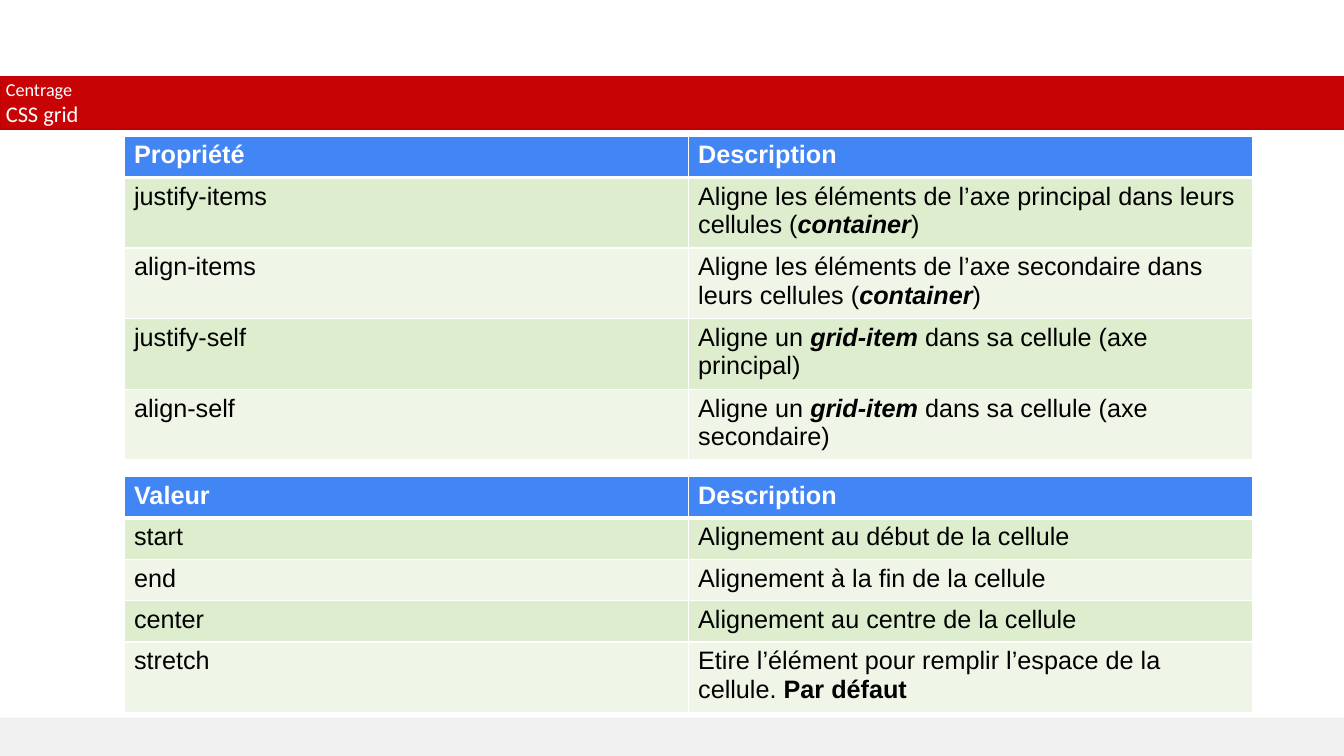
from lxml import etree
from pptx import Presentation
from pptx.dml.color import RGBColor
from pptx.enum import shapes, text
from pptx.oxml import ns
from pptx.util import Inches, Pt

HUES = {
    "white": "FFFFFF", "black": "000000", "red": "C80305", "edge": "C00000",
    "grey": "D0CECE", "blue": "4285F4", "odd": "DDEDCE", "even": "EFF6E8",
}

# Each cell is a list of (words, style) runs: "b" is bold, "i" is italic.
PROPS = [
    [[("Propriété", "b")], [("Description", "b")]],
    [[("justify-items", "")],
     [("Aligne les éléments de l’axe principal dans leurs cellules (", ""),
      ("container", "bi"), (")", "")]],
    [[("align-items", "")],
     [("Aligne les éléments de l’axe secondaire dans leurs cellules (", ""),
      ("container", "bi"), (")", "")]],
    [[("justify-self", "")],
     [("Aligne un ", ""), ("grid-item", "bi"),
      (" dans sa cellule (axe principal)", "")]],
    [[("align-self", "")],
     [("Aligne un ", ""), ("grid-item", "bi"),
      (" dans sa cellule (axe secondaire)", "")]],
]
VALUES = [
    [[("Valeur", "b")], [("Description", "b")]],
    [[("start", "")], [("Alignement au début de la cellule", "")]],
    [[("end", "")], [("Alignement à la fin de la cellule", "")]],
    [[("center", "")], [("Alignement au centre de la cellule", "")]],
    [[("stretch", "")],
     [("Etire l’élément pour remplir l’espace de la cellule. ", ""),
      ("Par défaut", "b")]],
]


def hue(name):
    return RGBColor.from_string(HUES[name])


def add_run(para, words, size, face, color, style=""):
    run = para.add_run()
    run.text = words
    font = run.font
    font.size, font.name = Pt(size), face
    font.color.rgb = hue(color)
    font.bold, font.italic = "b" in style, "i" in style


def add_bar(slide, box, fill, line=None, alpha=None):
    """Add a plain rectangle; alpha is its opacity in percent."""
    bar = slide.shapes.add_shape(
        shapes.MSO_SHAPE.RECTANGLE, *map(Inches, box))
    bar.shadow.inherit = False
    bar.fill.solid()
    bar.fill.fore_color.rgb = hue(fill)
    if line:
        bar.line.color.rgb = hue(line)
        bar.line.width = Pt(1)
    else:
        bar.line.fill.background()
    if alpha:
        color = bar.fill._xPr.find(".//" + ns.qn("a:srgbClr"))
        etree.SubElement(color, ns.qn("a:alpha"), val=str(alpha * 1000))


def add_title(slide, box):
    left, top, width, height = box
    add_bar(slide, box, "red", "edge")
    label = slide.shapes.add_textbox(
        Inches(left - 0.04), Inches(top - 0.08), Inches(2.59), Inches(0.69))
    frame = label.text_frame
    frame.word_wrap = True
    frame.vertical_anchor = text.MSO_ANCHOR.TOP
    frame.margin_left = frame.margin_right = Inches(0.1)
    frame.margin_top = frame.margin_bottom = Inches(0.1)
    add_run(frame.paragraphs[0], "Centrage", 13, "Calibri", "white")
    add_run(frame.add_paragraph(), "CSS grid", 16, "Calibri", "white")


def add_edges(cell, row):
    """Draw white cell borders, with a thick one under the header."""
    widths = {"L": 1, "R": 1, "T": 3 if row == 1 else 1,
              "B": 3 if row == 0 else 1}
    props = cell._tc.get_or_add_tcPr()
    for side, width in widths.items():
        edge = etree.SubElement(props, ns.qn("a:ln" + side), w=str(Pt(width)))
        fill = etree.SubElement(edge, ns.qn("a:solidFill"))
        etree.SubElement(fill, ns.qn("a:srgbClr"), val=HUES["white"])


def add_grid(slide, box, rows):
    """Add a two-column table with a header and banded rows."""
    grid = slide.shapes.add_table(
        len(rows), len(rows[0]), *map(Inches, box)).table
    for r, cells in enumerate(rows):
        fill = "blue" if r == 0 else "odd" if r % 2 else "even"
        for c, runs in enumerate(cells):
            cell = grid.cell(r, c)
            add_edges(cell, r)
            cell.fill.solid()
            cell.fill.fore_color.rgb = hue(fill)
            for words, style in runs:
                add_run(cell.text_frame.paragraphs[0], words, 18, "Arial",
                        "black" if r else "white", style)


def main():
    deck = Presentation()
    deck.slide_width, deck.slide_height = Inches(13.33), Inches(7.5)
    slide = deck.slides.add_slide(deck.slide_layouts[6])
    add_bar(slide, (0, 7.12, 13.34, 0.39), "grey", alpha=30)
    add_bar(slide, (0, -0.01, 13.33, 1.03), "white")
    add_title(slide, (0, 0.76, 13.34, 0.52))
    for top, rows in ((1.35, PROPS), (4.73, VALUES)):
        add_grid(slide, (1.23, top, 11.19, 0.41 * len(rows)), rows)
    deck.save("out.pptx")


if __name__ == "__main__":
    main()
